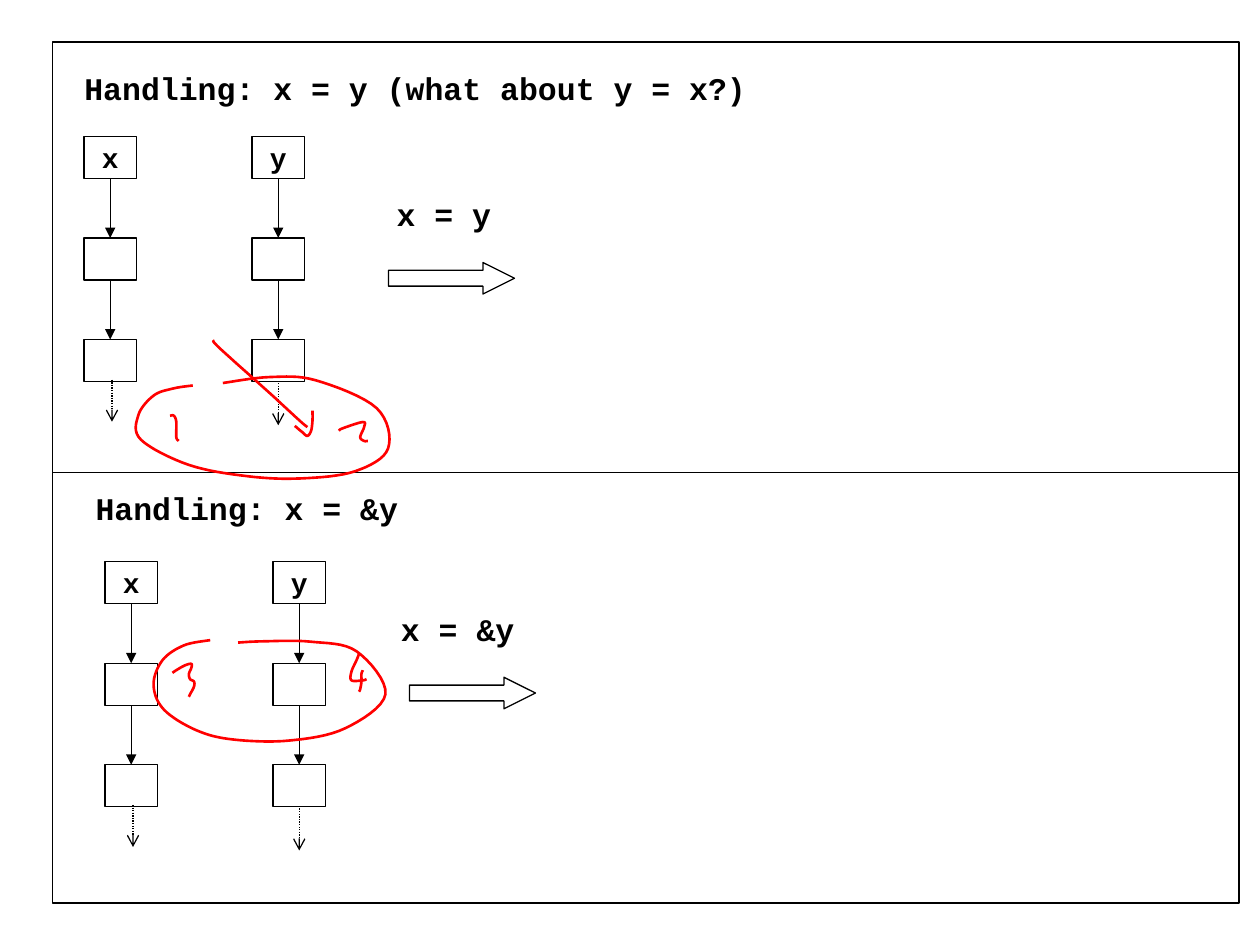
"""Build a slide on pointer assignment with two panels of box chains and red ink."""
from lxml.etree import SubElement
from pptx import Presentation
from pptx.dml.color import RGBColor
from pptx.enum.dml import MSO_LINE as Dash
from pptx.enum.shapes import MSO_CONNECTOR as Link, MSO_SHAPE as Shape
from pptx.enum.text import MSO_ANCHOR as Anchor, MSO_AUTO_SIZE as Fit, PP_ALIGN as Align
from pptx.oxml.ns import qn
from pptx.util import Pt

THEME = {
    "black": RGBColor(0, 0, 0),
    "red": RGBColor(255, 0, 0),
    "text": {"name": "Courier New", "size": Pt(18), "bold": True},
    "label": {"name": "Courier New", "size": Pt(16), "bold": True},
    "thin": Pt(0.75),
    "ink": Pt(1.5),
}


def write(box, text, font="text", align=Align.LEFT, anchor=Anchor.TOP, fit=Fit.SHAPE_TO_FIT_TEXT):
    frame = box.text_frame
    for name, value in {"word_wrap": False, "auto_size": fit, "vertical_anchor": anchor}.items():
        setattr(frame, name, value)
    para = frame.paragraphs[0]
    para.alignment = align
    span = para.add_run()
    span.text = text
    for name, value in THEME[font].items():
        setattr(span.font, name, value)
    span.font.color.rgb = THEME["black"]


def outline(shape, color="black", width="thin"):
    shape.shadow.inherit = False
    shape.fill.background()
    shape.line.color.rgb = THEME[color]
    shape.line.width = THEME[width]


deck = Presentation()
deck.slide_width, deck.slide_height = Pt(720), Pt(540)
page = deck.slides.add_slide(deck.slide_layouts[5])

title = page.shapes.title
for name, value in {"left": 41, "top": 36, "width": 396, "height": 29}.items():
    setattr(title, name, Pt(value))
write(title, "Handling: x = y (what about y = x?)")

heading = page.shapes.add_textbox(Pt(47.5), Pt(276), Pt(190), Pt(29))
write(heading, "Handling: x = &y")

PANELS = [
    {"top": 24, "chain": (48, 78), "code": "x = y", "code_at": (219.5, 108, 71), "arrow": (222, 150)},
    {"top": 270, "chain": (60, 321), "code": "x = &y", "code_at": (222, 345, 82), "arrow": (234, 387)},
]
BOX_WIDTH, BOX_HEIGHT, COLUMN_STEP, ROW_STEP = 30, 24, 96, 58

for panel in PANELS:
    outline(page.shapes.add_shape(Shape.RECTANGLE, Pt(30), Pt(panel["top"]), Pt(678), Pt(246)))
    left, top, width = panel["code_at"]
    write(page.shapes.add_textbox(Pt(left), Pt(top), Pt(width), Pt(29)), panel["code"])
    left, top = panel["arrow"]
    arrow = page.shapes.add_shape(Shape.RIGHT_ARROW, Pt(left), Pt(top), Pt(72), Pt(18))
    arrow.adjustments[0], arrow.adjustments[1] = 0.5, 1
    outline(arrow)

    chain_left, chain_top = panel["chain"]
    for column, (variable, shift, drop) in enumerate([("x", 1, -1), ("y", 0, 1)]):
        left = chain_left + column * COLUMN_STEP
        boxes = []
        for row in range(3):
            box = page.shapes.add_shape(
                Shape.RECTANGLE, Pt(left), Pt(chain_top + row * ROW_STEP), Pt(BOX_WIDTH), Pt(BOX_HEIGHT))
            outline(box)
            boxes.append(box)
        write(boxes[0], variable, "label", Align.CENTER, Anchor.MIDDLE, Fit.NONE)

        x = Pt(left + BOX_WIDTH / 2 + shift)
        y = Pt(chain_top + 2 * ROW_STEP + BOX_HEIGHT + drop)
        dotted = page.shapes.add_connector(Link.STRAIGHT, x, y, x, y + Pt(24))
        dotted.line.dash_style = Dash.ROUND_DOT
        pointers = [(dotted, "arrow")]
        for upper, lower in zip(boxes, boxes[1:]):
            pointer = page.shapes.add_connector(Link.STRAIGHT, 0, 0, 0, 0)
            pointer.begin_connect(upper, 2)
            pointer.end_connect(lower, 0)
            pointers.append((pointer, "triangle"))
        for pointer, head in pointers:
            pointer.line.color.rgb = THEME["black"]
            pointer.line.width = THEME["thin"]
            properties = pointer.element.spPr
            SubElement(properties.find(qn("a:ln")), qn("a:tailEnd"), type=head)
            SubElement(properties, qn("a:effectLst"))

INK = [
    [
        [(97.2, 237.6), (99.4, 237.6), (100.8, 241.2), (100.8, 249.8), (102.2, 252)],
        [(193.7, 246.2), (195.8, 244.8), (207.4, 241.2), (208.1, 244.1), (205.9, 249.8),
         (208.1, 252), (210.2, 252)],
        [(121.7, 194.4), (126, 199.4), (154.1, 224.6), (170.6, 239.8), (175.7, 244.1)],
        [(168.5, 243.4), (172.8, 247), (175.7, 249.1), (177.8, 246.2), (178.6, 240.5), (178.6, 234.7)],
        [(110.2, 220.3), (98.7, 222.1), (87.8, 226.1), (79.1, 237.3), (80.6, 251.3), (108, 265.7),
         (141.8, 272.2), (172.4, 273.4), (203, 269.3), (221.8, 256.3), (215.3, 233.3),
         (180.7, 217.4), (154.1, 215.5), (127.4, 218.9)],
    ],
    [
        [(98.6, 384.5), (100.8, 383), (105.8, 380.2), (109.4, 379.4), (109.4, 381.6), (108, 385.2),
         (108.7, 388.1), (110.9, 389.5), (110.9, 392.4), (108.7, 396.7), (108, 398.2)],
        [(207.4, 383), (206.6, 385.2), (206.6, 389.5), (205.9, 393.8), (205.2, 395.3)],
        [(205.2, 373.7), (203.8, 377.3), (200.9, 383.8), (200.9, 388.8), (207.4, 388.8), (209.5, 388.1)],
        [(120.2, 365.8), (105.2, 368.8), (92.9, 377.3), (87.8, 391.3), (93.6, 405.4), (112, 417.2),
         (133.2, 422.6), (165.5, 423.2), (197.3, 416.2), (220.3, 396.7), (203.8, 372.2),
         (177.4, 366.7), (150.5, 366.5), (136.1, 367.2)],
    ],
]
CURVE_STEPS = 8

for strokes in INK:
    start = strokes[0][0]
    builder = page.shapes.build_freeform(Pt(start[0]), Pt(start[1]))
    for index, stroke in enumerate(strokes):
        if index:
            builder.move_to(Pt(stroke[0][0]), Pt(stroke[0][1]))
        anchors = [stroke[0], *stroke, stroke[-1]]
        curve = []
        for neighbours in zip(anchors, anchors[1:], anchors[2:], anchors[3:]):
            for step in range(1, CURVE_STEPS + 1):
                t = step / CURVE_STEPS
                curve.append(tuple(
                    Pt(b + (c - a) * t / 2 + (a - 2.5 * b + 2 * c - d / 2) * t ** 2
                       + (3 * b - a - 3 * c + d) * t ** 3 / 2)
                    for a, b, c, d in zip(*neighbours)))
        builder.add_line_segments(curve, close=False)
    outline(builder.convert_to_shape(), "red", "ink")

deck.save("out.pptx")
